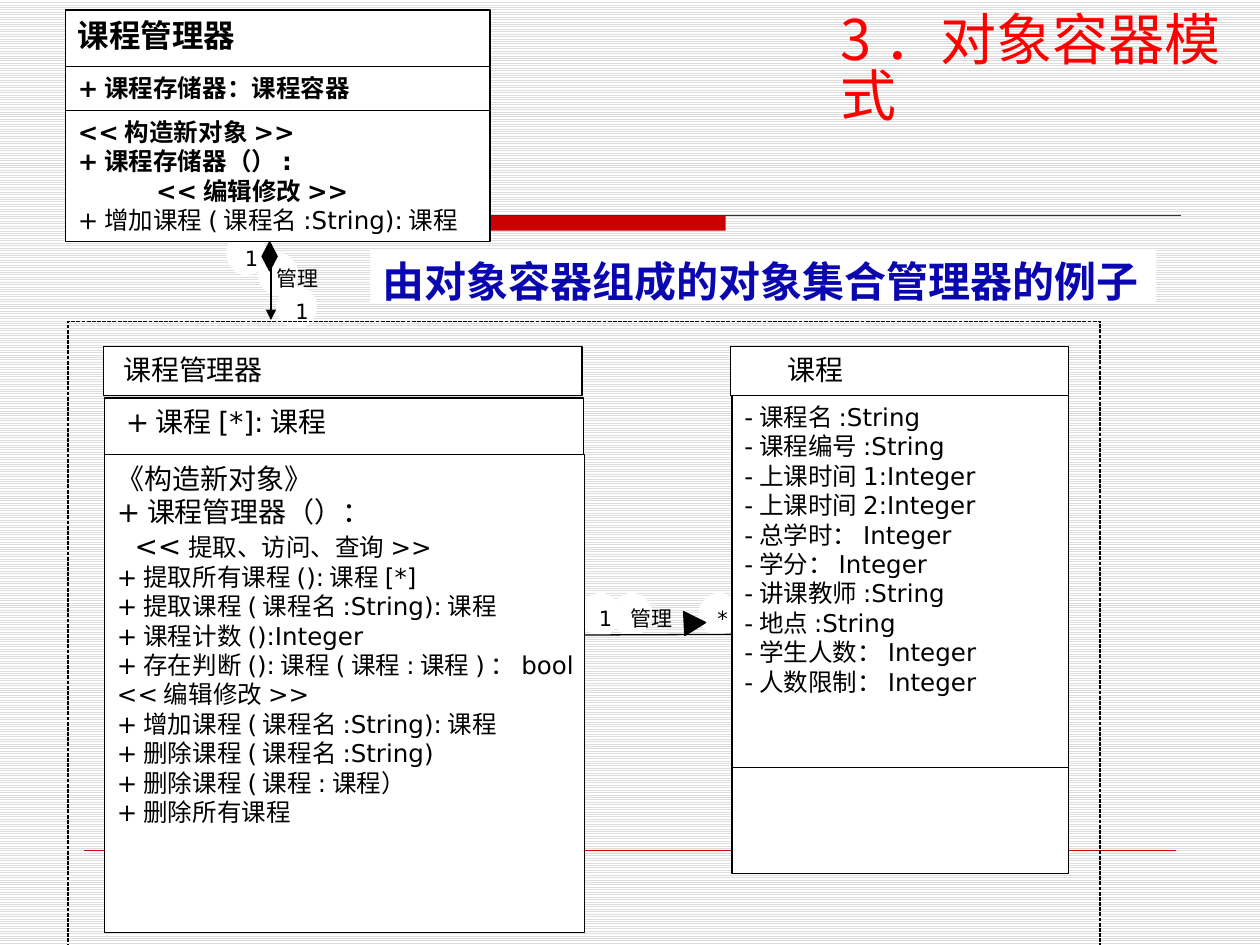
"""Builds the slide on the object container pattern with its class diagram."""
from lxml.etree import SubElement
from pptx import Presentation
from pptx.dml.color import RGBColor
from pptx.enum.dml import MSO_LINE_DASH_STYLE as DASH, MSO_PATTERN_TYPE as PATTERN
from pptx.enum.shapes import MSO_CONNECTOR_TYPE as CONNECTOR, MSO_SHAPE as SHAPE
from pptx.enum.text import MSO_ANCHOR as ANCHOR, PP_ALIGN as ALIGN
from pptx.oxml.ns import qn
from pptx.util import Inches, Pt

color = RGBColor.from_string


def write(shape, text, size=14, bold=False, ink="000000", font="DejaVu Sans",
          indent=0, same_line=False, wrap=False, spacing=None):
    """Add each line of text to the shape as a paragraph, or extend its last one."""
    frame = shape.text_frame
    frame.word_wrap = wrap
    frame.vertical_anchor = ANCHOR.TOP
    for line in text.split("\n"):
        paragraph = frame.paragraphs[-1]
        if paragraph.runs and not same_line:
            paragraph = frame.add_paragraph()
        paragraph.alignment = ALIGN.LEFT
        if spacing:
            paragraph.line_spacing = spacing
        if indent:
            paragraph._p.get_or_add_pPr().set("marL", str(Inches(indent)))
        run = paragraph.add_run()
        run.text = line
        run.font.size, run.font.bold, run.font.name = Pt(size), bold, font
        run.font.color.rgb = color(ink)
        SubElement(run._r.get_or_add_rPr(), qn("a:ea")).set("typeface", font)


def draw(kind, left, top, width, height, fill="FFFFFF", line="000000", weight=0.75):
    """Add a preset shape, or a connector over the given span when kind is None."""
    if kind is None:
        item = slide.shapes.add_connector(
            CONNECTOR.STRAIGHT, Inches(left), Inches(top),
            Inches(left + width), Inches(top + height))
        SubElement(item._element.spPr, qn("a:effectLst"))
    else:
        item = slide.shapes.add_shape(
            kind, Inches(left), Inches(top), Inches(width), Inches(height))
        item.shadow.inherit = False
        if fill:
            item.fill.solid()
            item.fill.fore_color.rgb = color(fill)
        else:
            item.fill.background()
    item.line.color.rgb = color(line)
    item.line.width = Pt(weight)
    return item


presentation = Presentation()
presentation.slide_width, presentation.slide_height = Inches(10), Inches(7.5)
slide = presentation.slides.add_slide(presentation.slide_layouts[6])

backdrop = slide.background.fill
backdrop.patterned()
backdrop.pattern = PATTERN.LIGHT_HORIZONTAL
backdrop.fore_color.rgb = color("DDDDDD")
backdrop.back_color.rgb = color("FFFFFF")

title_bar = draw(SHAPE.RECTANGLE, 0.67, 1.71, 5.09, 0.12, fill="CC0000")
title_bar.line.fill.background()
draw(None, 0.67, 1.71, 8.7, 0, line="333333")
draw(None, 0.67, 6.75, 8.66, 0, line="CC0000", weight=0.25)

title = slide.shapes.add_textbox(Inches(6.57), Inches(0.08), Inches(3.57), Inches(0.64))
write(title, "3．对象容器模式", size=32, ink="FF0000", font="Noto Sans CJK SC",
      wrap=True, spacing=0.83)

for text, left, top in [("1", 2.2, 2.27), ("*", 5.55, 4.71), ("管理", 4.86, 4.71),
                        ("1", 4.61, 4.71), ("管理", 2.05, 2.01), ("1", 1.8, 1.85)]:
    association_label = draw(SHAPE.OVAL, left, top, 0.31, 0.33, line="FFFFFF")
    write(association_label, text, size=12)

reading_direction = draw(SHAPE.ISOSCELES_TRIANGLE, 5.42, 4.86, 0.19, 0.17, fill="000000")
reading_direction.rotation = 87.2

container_name = draw(SHAPE.RECTANGLE, 0.82, 2.75, 3.8, 0.39)
write(container_name, "课程管理器", size=16, indent=0.06)
container_attributes = draw(SHAPE.RECTANGLE, 0.83, 3.16, 3.8, 0.46)
write(container_attributes, "+课程[*]:课程", size=16, indent=0.07)
container_operations = draw(SHAPE.RECTANGLE, 0.83, 3.61, 3.81, 3.79)
write(container_operations, "《构造新对象》\n+课程管理器（）：", size=16)
write(container_operations, "<<", size=16, indent=0.14)
write(container_operations, "提取、访问、查询>>", indent=0.14, same_line=True)
write(container_operations, """+提取所有课程():课程[*]
+提取课程(课程名:String):课程
+课程计数():Integer
+存在判断():课程(课程:课程)：bool
<<编辑修改>>
+增加课程(课程名:String):课程
+删除课程(课程名:String)
+删除课程(课程:课程）
+删除所有课程""")

course_name = draw(SHAPE.RECTANGLE, 5.8, 2.75, 2.68, 0.39)
write(course_name, "课程", size=16, indent=0.35)
course_attributes = draw(SHAPE.RECTANGLE, 5.81, 3.14, 2.67, 3.79)
write(course_attributes, """-课程名:String
-课程编号:String
-上课时间1:Integer
-上课时间2:Integer
-总学时：Integer
-学分：Integer
-讲课教师:String
-地点:String
-学生人数：Integer
-人数限制：Integer""")
draw(None, 5.8, 6.09, 2.68, 0)
association = draw(None, 4.64, 5.04, 1.17, 0)
association.end_connect(course_attributes, 1)

container_frame = draw(SHAPE.RECTANGLE, 0.54, 2.55, 8.19, 4.97, fill=None)
container_frame.line.dash_style = DASH.SQUARE_DOT

manager_name = draw(SHAPE.RECTANGLE, 0.52, 0.08, 3.37, 0.64)
write(manager_name, "课程管理器", size=18, bold=True)
manager_attributes = draw(SHAPE.RECTANGLE, 0.52, 0.53, 3.37, 0.35)
write(manager_attributes, "+课程存储器：课程容器", bold=True)
manager_operations = draw(SHAPE.RECTANGLE, 0.52, 0.88, 3.37, 1.04)
write(manager_operations, "<<构造新对象>>\n+课程存储器（）:", bold=True)
write(manager_operations, "<<编辑修改>>", bold=True, indent=0.62)
write(manager_operations, "+增加课程(课程名:String):课程")

composition = draw(None, 2.15, 1.94, 0, 0.6)
SubElement(composition.line._get_or_add_ln(), qn("a:tailEnd")).set("type", "triangle")
draw(SHAPE.DIAMOND, 2.08, 1.92, 0.12, 0.23, fill="000000")

caption = draw(SHAPE.RECTANGLE, 2.94, 1.98, 6.23, 0.42, line="FFFFFF")
write(caption, "由对象容器组成的对象集合管理器的例子", size=24, bold=True, ink="0A06B0")

presentation.save("out.pptx")
